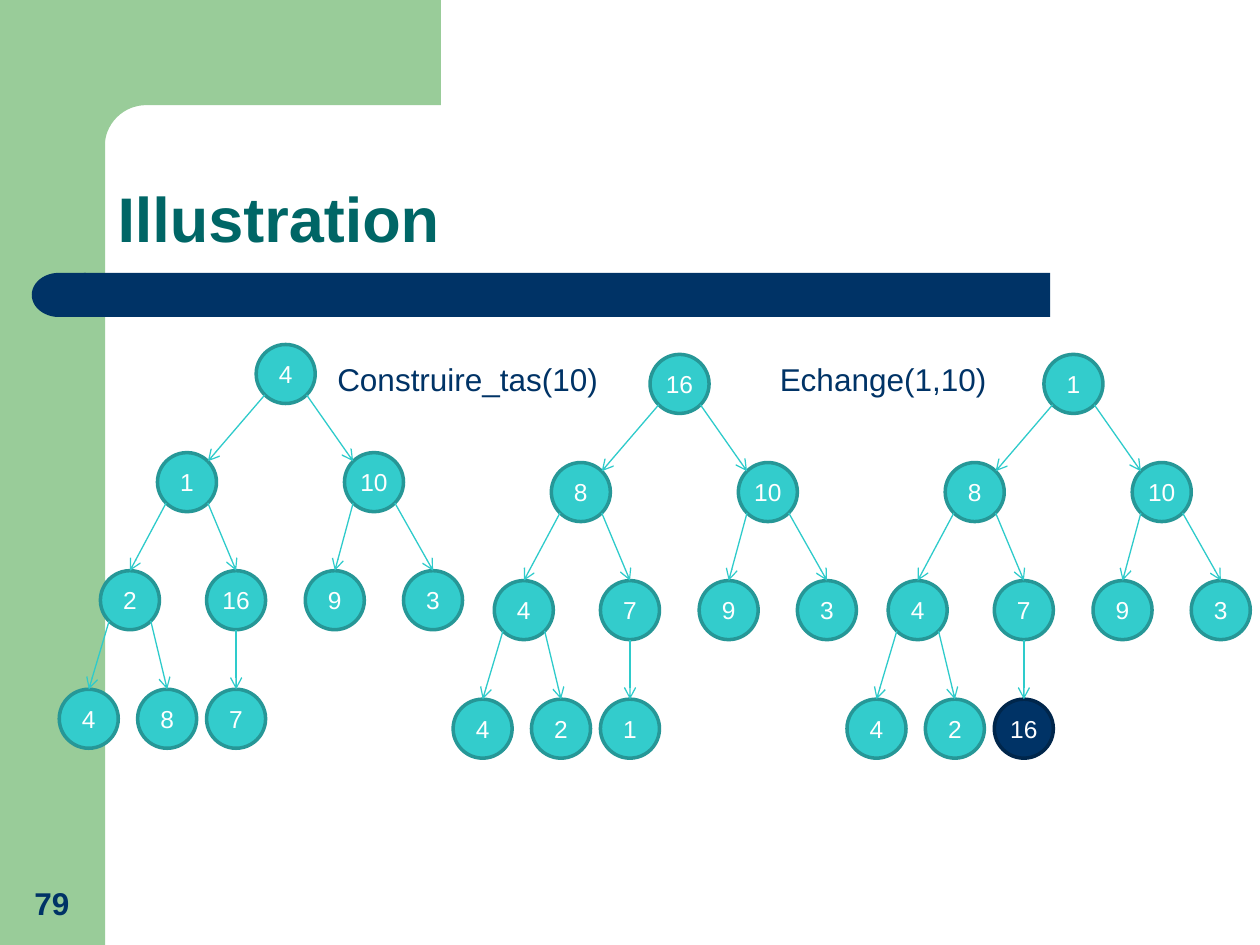
from math import cos, pi, sin, sqrt

from lxml.etree import SubElement
from pptx import Presentation
from pptx.dml.color import RGBColor
from pptx.enum.shapes import MSO_CONNECTOR, MSO_SHAPE
from pptx.enum.text import MSO_ANCHOR, PP_ALIGN
from pptx.oxml.ns import qn
from pptx.util import Cm, Pt

GREEN = RGBColor(0x99, 0xCC, 0x99)
NAVY = RGBColor(0x00, 0x33, 0x66)
DARK_NAVY = RGBColor(0x00, 0x26, 0x4B)
TEAL = RGBColor(0x00, 0x66, 0x66)
TURQUOISE = RGBColor(0x33, 0xCC, 0xCC)
DARK_TURQUOISE = RGBColor(0x26, 0x97, 0x97)
ARROW = RGBColor(0x2E, 0xCB, 0xCB)
WHITE = RGBColor(0xFF, 0xFF, 0xFF)

NODE_SIZE = 1.19
TREE_STEP = 7.94
LOWER = 0.2
NODE_CENTRES = [
    (5.76, 7.54),
    (3.77, 9.72), (7.54, 9.72),
    (2.62, 12.1), (4.76, 12.1), (6.75, 12.1), (8.73, 12.1),
    (1.79, 14.49), (3.37, 14.49), (4.76, 14.49),
]
TREES = [
    ([4, 1, 10, 2, 16, 9, 3, 4, 8, 7], 0, None),
    ([16, 8, 10, 4, 7, 9, 3, 4, 2, 1], LOWER, None),
    ([1, 8, 10, 4, 7, 9, 3, 4, 2, 16], LOWER, 9),
]


class HeapSlide:
    """Draws the parts of a heap illustration on one slide."""

    font = "Arial"

    def __init__(self, prs):
        self.s = prs.slides.add_slide(prs.slide_layouts[6])

    def paint(self, sp, fill, line=None):
        sp.shadow.inherit = False
        sp.fill.solid()
        sp.fill.fore_color.rgb = fill
        if line is None:
            sp.line.fill.background()
        else:
            sp.line.color.rgb = line
            sp.line.width = Pt(2)

    def set_text(self, tf, text, size, color, bold=False, align=PP_ALIGN.LEFT):
        p = tf.paragraphs[0]
        p.text = text
        p.alignment = align
        p.font.name = self.font
        p.font.size = Pt(size)
        p.font.bold = bold
        p.font.color.rgb = color
        return p

    def block(self, kind, x, y, w, h, fill, line=None):
        sp = self.s.shapes.add_shape(kind, Cm(x), Cm(y), Cm(w), Cm(h))
        self.paint(sp, fill, line)
        return sp

    def corner(self):
        left, top, right, bottom, outer, radius = 2.11, 2.12, 8.89, 3.25, 1.27, 0.84
        cx, cy = left + radius, top + radius
        angles = [pi / 2 * i / 16 for i in range(17)]
        arc = [(cx - radius * sin(a), cy - radius * cos(a)) for a in angles]
        points = [(right, top), *arc, (left, bottom), (outer, bottom), (outer, 0)]
        builder = self.s.shapes.build_freeform(Cm(right), Cm(0))
        builder.add_line_segments([(Cm(x), Cm(y)) for x, y in points], close=True)
        self.paint(builder.convert_to_shape(), GREEN)

    def text(self, x, y, w, h, text, size, color, anchor=MSO_ANCHOR.TOP, **style):
        tf = self.s.shapes.add_textbox(Cm(x), Cm(y), Cm(w), Cm(h)).text_frame
        tf.word_wrap = True
        tf.vertical_anchor = anchor
        return self.set_text(tf, text, size, color, **style)

    def node(self, cx, cy, value, fill, line):
        half = NODE_SIZE / 2
        sp = self.block(MSO_SHAPE.OVAL, cx - half, cy - half,
                        NODE_SIZE, NODE_SIZE, fill, line)
        tf = sp.text_frame
        tf.margin_left = tf.margin_right = tf.margin_top = tf.margin_bottom = 0
        tf.vertical_anchor = MSO_ANCHOR.MIDDLE
        self.set_text(tf, str(value), 14, WHITE, align=PP_ALIGN.CENTER)

    def arrow(self, x1, y1, x2, y2):
        line = self.s.shapes.add_connector(
            MSO_CONNECTOR.STRAIGHT, Cm(x1), Cm(y1), Cm(x2), Cm(y2))
        line.line.color.rgb = ARROW
        line.line.width = Pt(0.75)
        properties = line._element.spPr
        SubElement(properties.get_or_add_ln(), qn("a:tailEnd"), type="arrow")
        SubElement(properties, qn("a:effectLst"))

    def edge(self, parent, child, side, meets_side):
        radius = NODE_SIZE / 2
        diagonal = radius / sqrt(2)
        (px, py), (cx, cy) = parent, child
        start = (px + side * diagonal, py + (diagonal if side else radius))
        if meets_side:
            end = (cx - side * diagonal, cy - diagonal)
        else:
            end = (cx, cy - radius)
        self.arrow(*start, *end)

    def tree(self, values, dx, dy, marked):
        centres = [(x + dx, y + dy) for x, y in NODE_CENTRES]
        for i, (centre, value) in enumerate(zip(centres, values)):
            colors = (NAVY, DARK_NAVY) if i == marked else (TURQUOISE, DARK_TURQUOISE)
            self.node(*centre, value, *colors)
        last = len(centres) - 1
        for i in range(1, len(centres)):
            side = 0 if i == last else -1 if i % 2 else 1
            self.edge(centres[(i - 1) // 2], centres[i], side, meets_side=i < 3)


def main():
    prs = Presentation()
    prs.slide_width, prs.slide_height = Cm(25.4), Cm(19.05)
    slide = HeapSlide(prs)
    slide.block(MSO_SHAPE.RECTANGLE, 0, 0, 2.12, 19.05, GREEN)
    slide.corner()
    slide.block(MSO_SHAPE.RECTANGLE, 1.69, 5.5, 19.48, 0.89, NAVY)
    slide.block(MSO_SHAPE.FLOWCHART_DELAY, 0.64, 5.5, 1.09, 0.89, NAVY).rotation = 180
    title = slide.text(2.12, 2.12, 22.01, 3.17, "Illustration", 36, TEAL,
                       MSO_ANCHOR.BOTTOM, bold=True)
    title.line_spacing = 0.9
    slide.text(0.23, 17.35, 1.63, 1.35, "79", 18, NAVY,
               MSO_ANCHOR.BOTTOM, bold=True, align=PP_ALIGN.CENTER)
    for i, (values, dy, marked) in enumerate(TREES):
        slide.tree(values, i * TREE_STEP, dy, marked)
    slide.text(6.55, 7.14, 5.94, 1.02, "Construire_tas(10)", 18, NAVY)
    slide.text(15.47, 7.14, 4.78, 1.02, "Echange(1,10)", 18, NAVY)
    prs.save("out.pptx")


if __name__ == "__main__":
    main()
